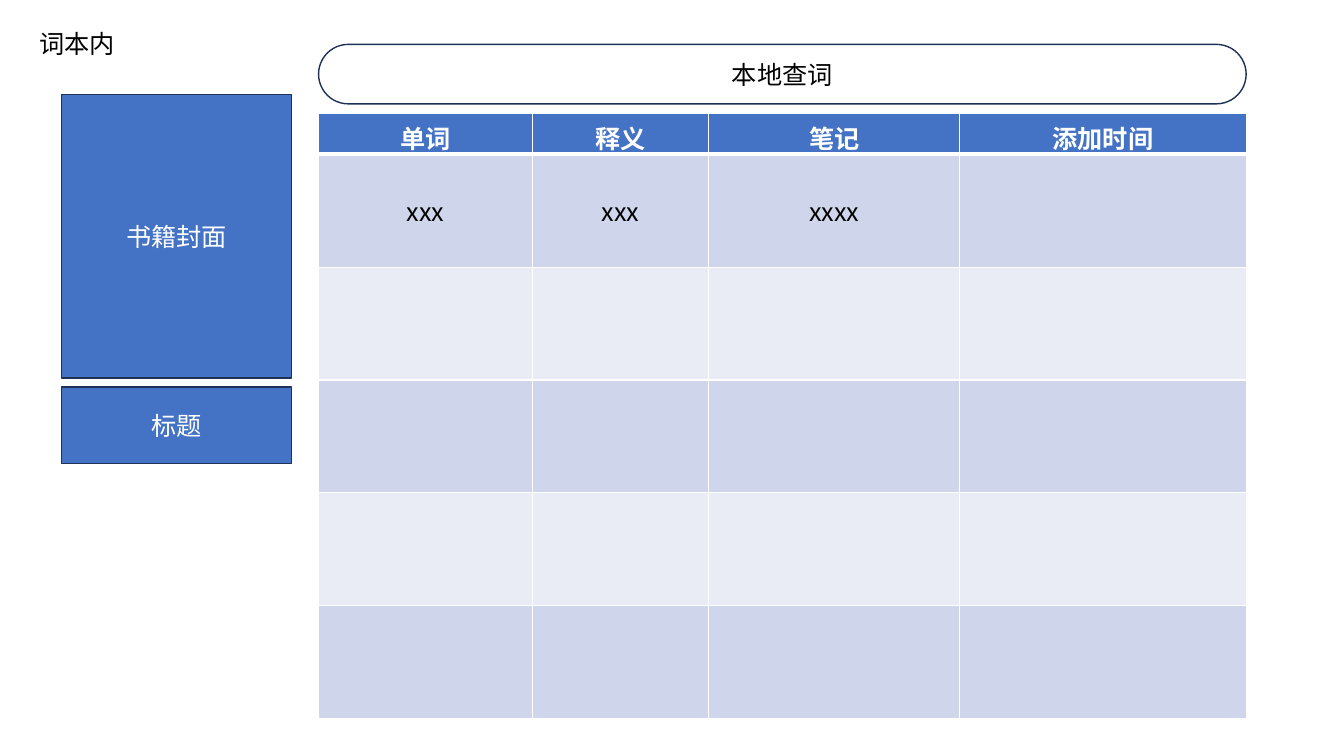
from lxml import etree
from pptx import Presentation
from pptx.dml.color import RGBColor
from pptx.enum import shapes, text
from pptx.oxml import ns
from pptx.util import Inches, Pt

FONT = "Noto Sans CJK SC"
COLORS = {"blue": "4472C4", "edge": "1E3256", "dark": "CFD5EA",
          "light": "E9EBF5", "white": "FFFFFF", "black": "000000"}


def write(frame, words, color, bold=False, align=text.PP_ALIGN.CENTER):
    """Fill a text frame with one line, for Latin and Chinese glyphs alike."""
    frame.text = words
    para = frame.paragraphs[0]
    para.alignment = align
    for run in para.runs:
        run.font.size = Pt(18)
        run.font.bold = bold
        run.font.name = FONT
        run.font.color.rgb = RGBColor.from_string(COLORS[color])
        latin = run._r.get_or_add_rPr().find(ns.qn("a:latin"))
        latin.addnext(latin.makeelement(ns.qn("a:ea"), {"typeface": FONT}))


def border(cell, side, width):
    """Draw one white cell border; side is L, R, T or B."""
    line = etree.SubElement(cell._tc.get_or_add_tcPr(), ns.qn("a:ln" + side),
                            w=str(Pt(width)))
    fill = etree.SubElement(line, ns.qn("a:solidFill"))
    etree.SubElement(fill, ns.qn("a:srgbClr"), val=COLORS["white"])


deck = Presentation()
deck.slide_width, deck.slide_height = Inches(13.33), Inches(7.5)
slide = deck.slides.add_slide(deck.slide_layouts[6])

# Page label
label = slide.shapes.add_textbox(Inches(0.29), Inches(0.23), Inches(0.96), Inches(0.4))
label.text_frame.word_wrap = False
label.text_frame.auto_size = text.MSO_AUTO_SIZE.SHAPE_TO_FIT_TEXT
write(label.text_frame, "词本内", "black", align=text.PP_ALIGN.LEFT)

# Book cover, book title and search bar
RECT, ROUND = shapes.MSO_SHAPE.RECTANGLE, shapes.MSO_SHAPE.ROUNDED_RECTANGLE
boxes = [
    (RECT, "书籍封面", 0.61, 0.94, 2.28, 2.81, "blue", "white"),
    (RECT, "标题", 0.61, 3.84, 2.28, 0.76, "blue", "white"),
    (ROUND, "本地查词", 3.16, 0.44, 9.2, 0.59, None, "black"),
]
for kind, words, left, top, width, height, fill, color in boxes:
    box = slide.shapes.add_shape(kind, Inches(left), Inches(top),
                                 Inches(width), Inches(height))
    box.shadow.inherit = False
    if kind == ROUND:
        box.adjustments[0] = 0.5
    if fill:
        box.fill.solid()
        box.fill.fore_color.rgb = RGBColor.from_string(COLORS[fill])
    else:
        box.fill.background()
    box.line.color.rgb = RGBColor.from_string(COLORS["edge"])
    box.line.width = Pt(1)
    box.text_frame.vertical_anchor = text.MSO_ANCHOR.MIDDLE
    write(box.text_frame, words, color)

# Word list
heads = ["单词", "释义", "笔记", "添加时间"]
entry = ["xxx", "xxx", "xxxx", ""]
widths = [2.12, 1.75, 2.49, 2.84]
heights = [0.4] + [1.12] * 5
table = slide.shapes.add_table(len(heights), len(widths), Inches(3.16), Inches(1.13),
                               Inches(9.2), Inches(6)).table
for col, width in zip(table.columns, widths):
    col.width = Inches(width)
for r, height in enumerate(heights):
    table.rows[r].height = Inches(height)
    shade = "blue" if r == 0 else "dark" if r % 2 else "light"
    for c in range(len(widths)):
        cell = table.cell(r, c)
        for side in "LRTB":
            thick = (r, side) in [(0, "B"), (1, "T")]
            border(cell, side, 3 if thick else 1)
        cell.fill.solid()
        cell.fill.fore_color.rgb = RGBColor.from_string(COLORS[shade])
        if r == 0:
            write(cell.text_frame, heads[c], "white", bold=True)
        elif r == 1 and entry[c]:
            cell.vertical_anchor = text.MSO_ANCHOR.MIDDLE
            write(cell.text_frame, entry[c], "black")

deck.save("out.pptx")
